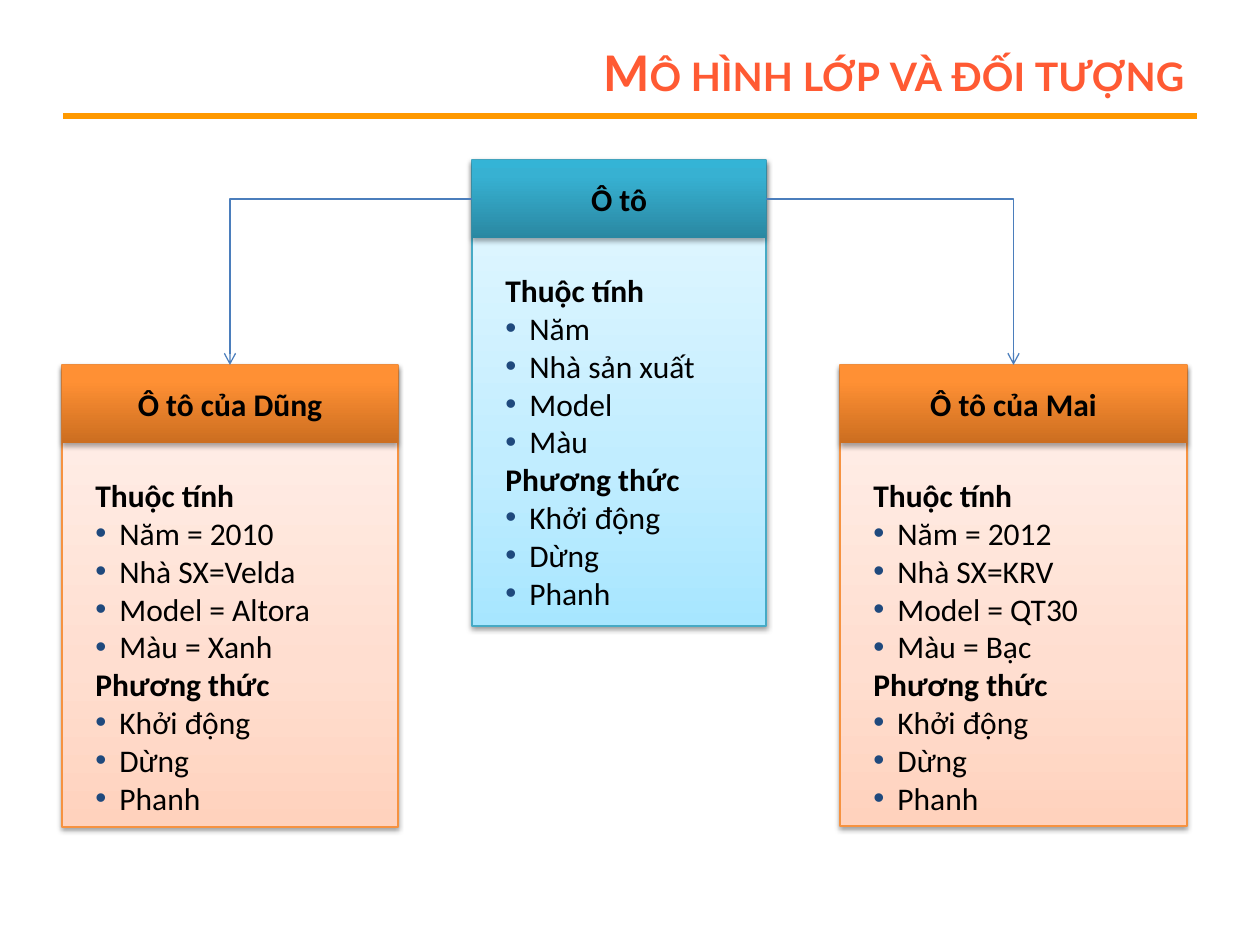
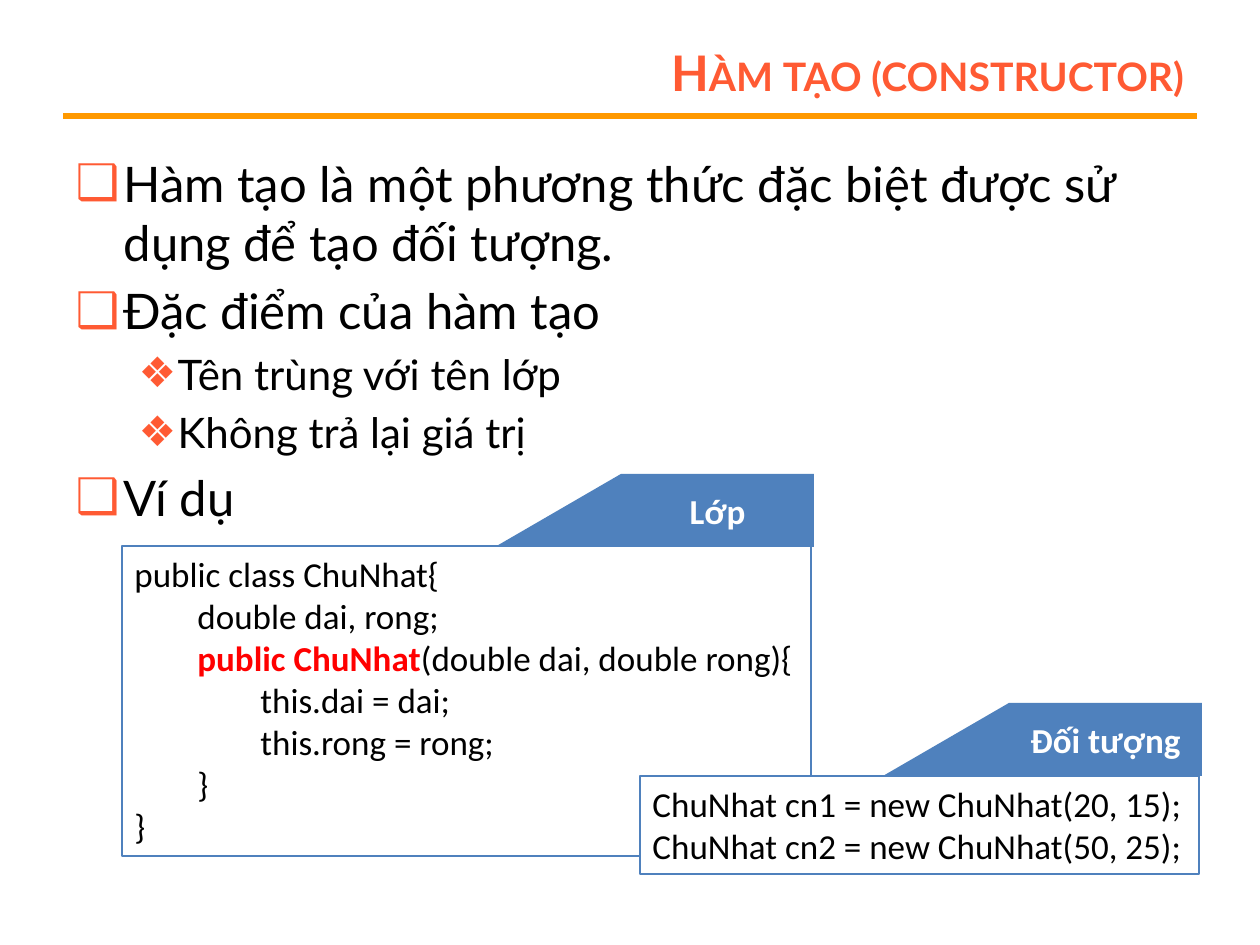
from lxml.etree import SubElement
from pptx import Presentation
from pptx.dml.color import RGBColor
from pptx.enum.shapes import MSO_CONNECTOR, MSO_SHAPE
from pptx.enum.text import MSO_ANCHOR, MSO_AUTO_SIZE, PP_ALIGN
from pptx.oxml.ns import qn
from pptx.util import Inches, Pt

RECTANGLE, TRIANGLE = MSO_SHAPE.RECTANGLE, MSO_SHAPE.RIGHT_TRIANGLE
STRAIGHT, ELBOW = MSO_CONNECTOR.STRAIGHT, MSO_CONNECTOR.ELBOW
TOP, MIDDLE = MSO_ANCHOR.TOP, MSO_ANCHOR.MIDDLE
LEFT, CENTER, RIGHT = PP_ALIGN.LEFT, PP_ALIGN.CENTER, PP_ALIGN.RIGHT
FIXED_SIZE = MSO_AUTO_SIZE.NONE

PX = Inches(1) / 126
BLACK = RGBColor(0x00, 0x00, 0x00)
WHITE = RGBColor(0xFF, 0xFF, 0xFF)
RED = RGBColor(0xFF, 0x00, 0x00)
CORAL = RGBColor(0xFF, 0x5A, 0x33)
AMBER = RGBColor(0xFF, 0x99, 0x00)
NAVY = RGBColor(0x1F, 0x49, 0x7D)
BLUE = RGBColor(0x4F, 0x81, 0xBD)
ARROW_BLUE = RGBColor(0x4B, 0x7E, 0xBC)
TEAL = RGBColor(0x46, 0xAA, 0xC5)
ORANGE = RGBColor(0xF6, 0x92, 0x40)

TEAL_BODY = [(0, "A7E6FF"), (35, "C1EDFF"), (100, "E7F8FF")]
TEAL_HEADER = [(0, "2A88A2"), (80, "37B1D2"), (100, "34B4D6")]
ORANGE_BODY = [(0, "FFD2BD"), (35, "FFDED0"), (100, "FFF2ED")]
ORANGE_HEADER = [(0, "CC6E20"), (80, "FF9034"), (100, "FF9136")]

TITLE_FONT = {"name": "Lato", "size": Pt(28), "bold": True, "color": CORAL}
BODY_FONT = {"name": "Lato", "size": Pt(28), "color": BLACK}
CARD_FONT = {"name": "Calibri", "size": Pt(18), "color": BLACK}
CODE_FONT = {"name": "Calibri", "size": Pt(20), "color": BLACK}
TAG_FONT = {"name": "Calibri", "size": Pt(20), "color": WHITE, "bold": True}
BOLD = {"bold": True}
SMALLER = {"size": Pt(24)}

PLAIN = {"level": 0, "left": 0, "hanging": 0, "bullet": None}
CARD_ITEM = {"level": 0, "left": 24, "hanging": 24, "bullet": "•", "color": NAVY}
POINT = {"level": 0, "left": 48, "hanging": 48, "bullet": "❑", "color": CORAL}
SUBPOINT = {"level": 1, "left": 102, "hanging": 39, "bullet": "❖", "color": CORAL}
CODE_1 = {"level": 1, "left": 63, "hanging": 0, "bullet": None}
CODE_2 = {"level": 2, "left": 126, "hanging": 0, "bullet": None}


def write(frame, paragraphs, font, anchor=TOP, align=LEFT, wrap=True):
    settings = {"word_wrap": wrap, "auto_size": FIXED_SIZE, "vertical_anchor": anchor}
    for name, value in settings.items():
        setattr(frame, name, value)
    for index, (layout, runs) in enumerate(paragraphs):
        paragraph = frame.add_paragraph() if index else frame.paragraphs[0]
        paragraph.alignment = align
        paragraph.level = layout["level"]
        properties = paragraph._p.get_or_add_pPr()
        properties.set("marL", str(round(layout["left"] * PX)))
        properties.set("indent", str(round(-layout["hanging"] * PX)))
        if layout["bullet"]:
            bullet_color = SubElement(properties, qn("a:buClr"))
            SubElement(bullet_color, qn("a:srgbClr"), val=str(layout["color"]))
            SubElement(properties, qn("a:buFont"), typeface="Arial")
            SubElement(properties, qn("a:buChar"), char=layout["bullet"])
        for text, changes in runs:
            run = paragraph.add_run()
            run.text = text
            for name, value in {**font, **changes}.items():
                if name == "color":
                    run.font.color.rgb = value
                else:
                    setattr(run.font, name, value)


def add_box(shapes, kind, box, fill, line=None, shadow=None):
    shape = shapes.add_shape(kind, *[round(length * PX) for length in box])
    shape.shadow.inherit = False
    if line is None:
        shape.line.fill.background()
    else:
        shape.line.color.rgb = line
        shape.line.width = Pt(0.75)
    if fill is None:
        shape.fill.background()
    elif isinstance(fill, RGBColor):
        shape.fill.solid()
        shape.fill.fore_color.rgb = fill
    else:
        shape.fill.gradient()
        shape.fill.gradient_angle = 90
        stops = shape._element.spPr.find(qn("a:gradFill")).find(qn("a:gsLst"))
        for stop in list(stops):
            stops.remove(stop)
        for position, color in fill:
            stop = SubElement(stops, qn("a:gs"), pos=str(position * 1000))
            SubElement(stop, qn("a:srgbClr"), val=color)
    if shadow:
        opacity, distance = shadow
        effects = shape._element.spPr.find(qn("a:effectLst"))
        outer = SubElement(effects, qn("a:outerShdw"), blurRad=str(Pt(3.1)),
                           dist=str(Pt(distance)), dir="5400000", rotWithShape="0")
        color = SubElement(outer, qn("a:srgbClr"), val="000000")
        SubElement(color, qn("a:alpha"), val=str(opacity * 1000))
    return shape


presentation = Presentation()
presentation.slide_width = Inches(10)
presentation.slide_height = Inches(7.5)
CONTENT_LAYOUT, TITLE_ONLY = presentation.slide_layouts[1], presentation.slide_layouts[5]

slides = []
for layout, heading in [(TITLE_ONLY, "Mô hình lớp và đối tượng"),
                        (CONTENT_LAYOUT, "Hàm tạo (constructor)")]:
    slide = presentation.slides.add_slide(layout)
    rule = slide.shapes.add_connector(
        STRAIGHT, *[round(length * PX) for length in (63, 116, 1197, 116)])
    rule.line.color.rgb = AMBER
    rule.line.width = Pt(3)
    SubElement(rule._element.spPr, qn("a:effectLst"))
    title = slide.shapes.title
    for side, length in zip(("left", "top", "width", "height"), (284, 38, 913, 67)):
        setattr(title, side, round(length * PX))
    write(title.text_frame, [(PLAIN, [(heading, {})])], TITLE_FONT, MIDDLE, RIGHT)
    title.text_frame.paragraphs[0].runs[0]._r.get_or_add_rPr().set("cap", "small")
    slides.append(slide)
model_slide, constructor_slide = slides

METHODS = ["Khởi động", "Dừng", "Phanh"]
cards = [
    ("Ô tô", (472, 160, 294, 466), TEAL_BODY, TEAL_HEADER, TEAL,
     ["Năm", "Nhà sản xuất", "Model", "Màu"]),
    ("Ô tô của Dũng", (62, 365, 336, 462), ORANGE_BODY, ORANGE_HEADER, ORANGE,
     ["Năm = 2010", "Nhà SX=Velda", "Model = Altora", "Màu = Xanh"]),
    ("Ô tô của Mai", (840, 365, 347, 461), ORANGE_BODY, ORANGE_HEADER, ORANGE,
     ["Năm = 2012", "Nhà SX=KRV", "Model = QT30", "Màu = Bạc"]),
]
headers = []
for name, (left, top, width, height), body_fill, header_fill, line, attributes in cards:
    group = model_slide.shapes.add_group_shape()
    add_box(group.shapes, RECTANGLE, (left, top, width, height), body_fill, line, (38, 1.6))
    header = add_box(group.shapes, RECTANGLE, (left, top, width, 78), header_fill,
                     shadow=(35, 1.8))
    write(header.text_frame, [(PLAIN, [(name, BOLD)])], CARD_FONT, MIDDLE, CENTER)
    headers.append(header)
    members = []
    for label, items in [("Thuộc tính", attributes), ("Phương thức", METHODS)]:
        members.append((PLAIN, [(label, BOLD)]))
        members += [(CARD_ITEM, [(item, {})]) for item in items]
    text_box = model_slide.shapes.add_textbox(
        *[round(length * PX) for length in (left + 21, top + 105, width, 357)])
    write(text_box.text_frame, members, CARD_FONT)

class_header, *object_headers = headers
for object_header, side in zip(object_headers, (1, 3)):
    arrow = model_slide.shapes.add_connector(ELBOW, 0, 0, 0, 0)
    arrow.begin_connect(class_header, side)
    arrow.end_connect(object_header, 0)
    arrow.line.color.rgb = ARROW_BLUE
    arrow.line.width = Pt(0.75)
    properties = arrow._element.spPr
    properties.find(qn("a:prstGeom")).set("prst", "bentConnector2")
    SubElement(properties.find(qn("a:ln")), qn("a:tailEnd"), type="arrow")
    SubElement(properties, qn("a:effectLst"))

body = constructor_slide.placeholders[1]
for side, length in zip(("left", "top", "width", "height"), (63, 147, 1134, 725)):
    setattr(body, side, round(length * PX))
write(body.text_frame, [
    (POINT, [("Hàm tạo là một phương thức đặc biệt được sử dụng để tạo đối tượng.", {})]),
    (POINT, [("Đặc điểm của hàm tạo", {})]),
    (SUBPOINT, [("Tên trùng với tên lớp", SMALLER)]),
    (SUBPOINT, [("Không trả lại giá trị", SMALLER)]),
    (POINT, [("Ví dụ", {})]),
], BODY_FONT)

class_code = [
    (PLAIN, [("public class ChuNhat{", {})]),
    (CODE_1, [("double dai, rong;", {})]),
    (CODE_1, [("public ChuNhat", {"bold": True, "color": RED}),
              ("(double dai, double rong){", {})]),
    (CODE_2, [("this.dai = dai;", {})]),
    (CODE_2, [("this.rong = rong;", {})]),
    (CODE_1, [("}", {})]),
    (PLAIN, [("}", {})]),
]
object_code = [
    (PLAIN, [("ChuNhat cn1 = new ChuNhat(20, 15);", {})]),
    (PLAIN, [("ChuNhat cn2 = new ChuNhat(50, 25);", {})]),
]
examples = [
    ("Lớp", (621, 474), (122, 546, 689, 310), None, class_code),
    ("Đối tượng", (1009, 703), (640, 776, 559, 98), WHITE, object_code),
]
for label, (tag_left, tag_top), code_box, fill, code in examples:
    panel = add_box(constructor_slide.shapes, RECTANGLE, code_box, fill, BLUE)
    write(panel.text_frame, code, CODE_FONT, wrap=False)
    tag = add_box(constructor_slide.shapes, RECTANGLE, (tag_left, tag_top, 193, 73), BLUE)
    write(tag.text_frame, [(PLAIN, [(label, {})])], TAG_FONT, MIDDLE, CENTER)
    slope = add_box(constructor_slide.shapes, TRIANGLE,
                    (tag_left - 126, tag_top, 126, 73), BLUE)
    slope._element.spPr.find(qn("a:xfrm")).set("flipH", "1")

presentation.save("out.pptx")
